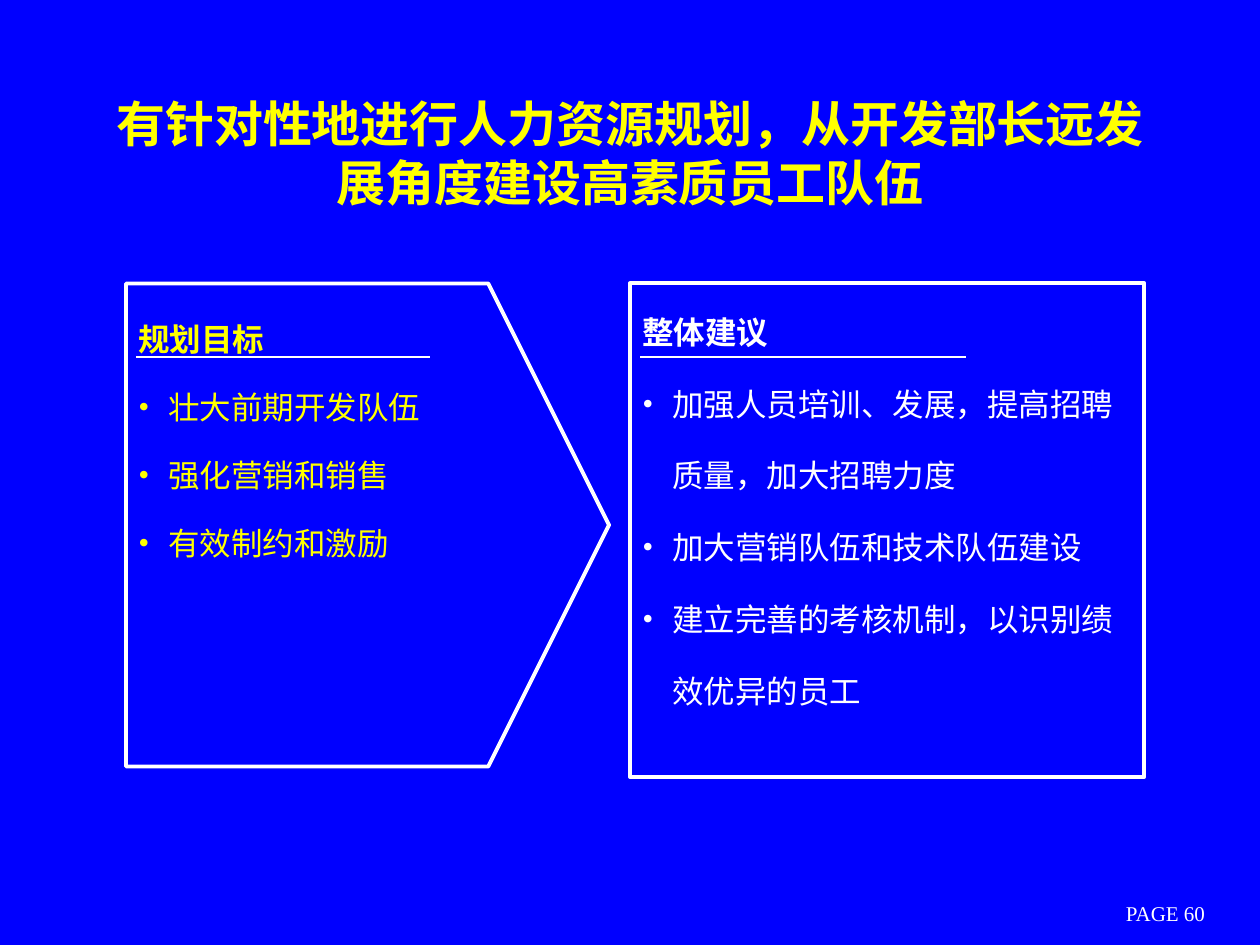
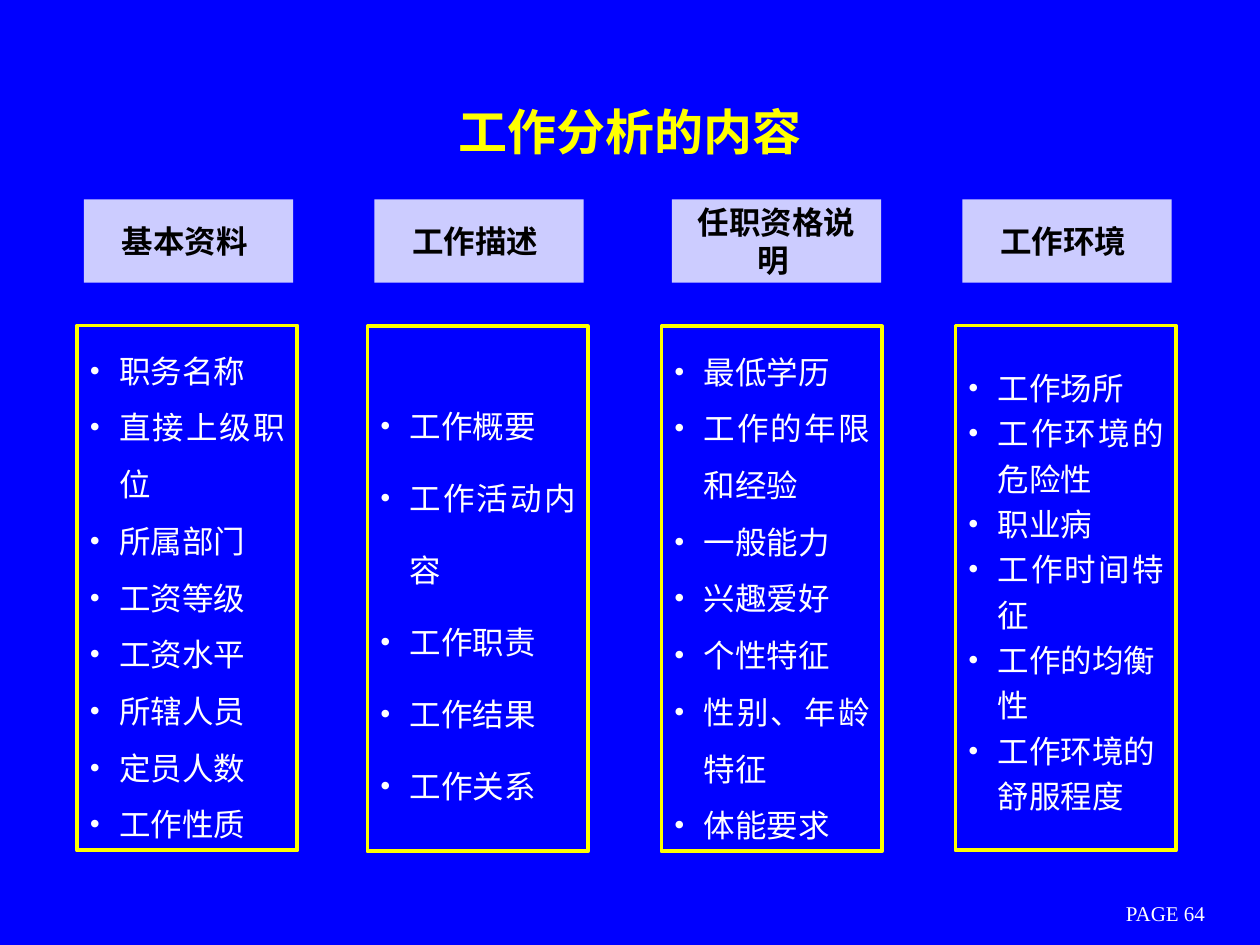
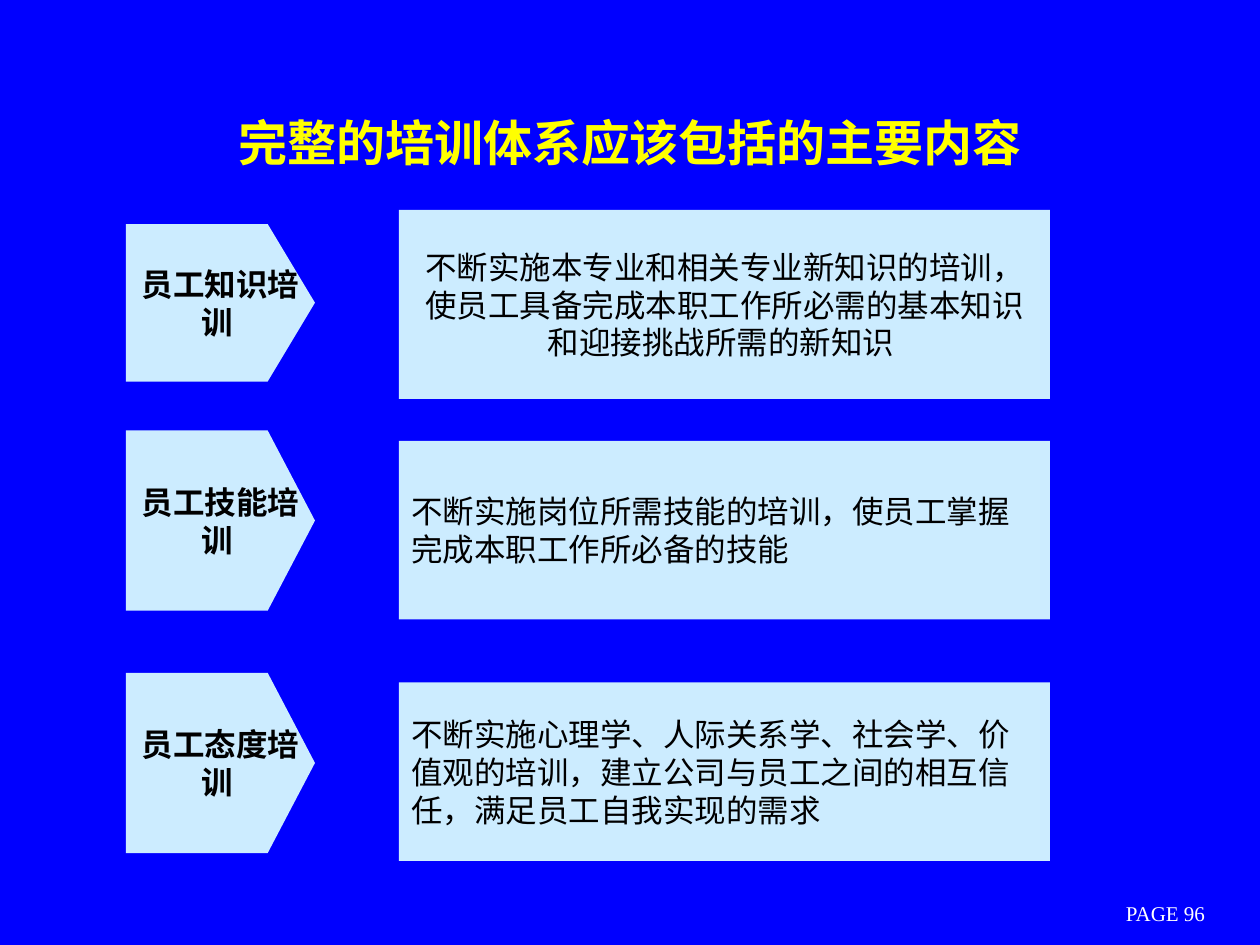
from lxml import etree
from pptx import Presentation
from pptx.dml.color import RGBColor
from pptx.enum.shapes import MSO_CONNECTOR, MSO_SHAPE
from pptx.enum.text import MSO_ANCHOR, MSO_AUTO_SIZE, PP_ALIGN
from pptx.oxml.ns import qn
from pptx.util import Pt

LEFT, CENTER, JUSTIFY = PP_ALIGN.LEFT, PP_ALIGN.CENTER, PP_ALIGN.JUSTIFY
TOP, MIDDLE = MSO_ANCHOR.TOP, MSO_ANCHOR.MIDDLE
NO_AUTOFIT = MSO_AUTO_SIZE.NONE
RECTANGLE = MSO_SHAPE.RECTANGLE
STRAIGHT = MSO_CONNECTOR.STRAIGHT

COLORS = {
    "background": "0000FF",
    "accent": "FFFF00",
    "light": "FFFFFF",
    "dark": "000000",
    "header": "CCCCFF",
    "panel": "CCECFF",
}
LATIN, CJK = "Times New Roman", "Noto Sans CJK SC"
TITLE_ONLY = 5
LINE_HEIGHT = 1.2
BULLET_INDENT = 17
INSET_X, INSET_Y = 7.2, 3.6


def rgb(name):
    return RGBColor.from_string(COLORS[name])


def paragraph(text, color="dark", size=18, bold=False, font=LATIN,
              align=LEFT, spacing=1, bullet=False):
    return {
        "text": text, "color": color, "bullet": bullet,
        "font": {"size": Pt(size), "bold": bold, "name": font},
        "format": {
            "alignment": align,
            "line_spacing": Pt(round(size * LINE_HEIGHT * spacing, 2)),
            "space_before": Pt(0),
            "space_after": Pt(0),
        },
    }


class Deck:
    def __init__(self):
        self.presentation = Presentation()
        self.presentation.slide_width = Pt(720)
        self.presentation.slide_height = Pt(540)
        backdrop = self.presentation.slide_master.background.fill
        backdrop.solid()
        backdrop.fore_color.rgb = rgb("background")
        self.slide = None

    def new_slide(self, heading, heading_top, page):
        layout = self.presentation.slide_layouts[TITLE_ONLY]
        self.slide = self.presentation.slides.add_slide(layout)
        title = self.slide.shapes.title
        box = {"left": 54, "top": heading_top, "width": 612, "height": 90}
        for side, length in box.items():
            setattr(title, side, Pt(length))
        self.set_text(title, [paragraph(heading, "accent", 28, True, CJK, CENTER)])
        footer = self.slide.shapes.add_textbox(Pt(606), Pt(512.5), Pt(120), Pt(18))
        self.set_text(footer, [paragraph(f"PAGE {page}", "light", 12, align=CENTER)])

    def set_text(self, holder, paragraphs, anchor=MIDDLE, bottom=INSET_Y):
        frame = holder.text_frame
        layout = {
            "word_wrap": True, "auto_size": NO_AUTOFIT, "vertical_anchor": anchor,
            "margin_left": Pt(INSET_X), "margin_right": Pt(INSET_X),
            "margin_top": Pt(INSET_Y), "margin_bottom": Pt(bottom),
        }
        for name, value in layout.items():
            setattr(frame, name, value)
        for index, content in enumerate(paragraphs):
            line = frame.add_paragraph() if index else frame.paragraphs[0]
            if content["bullet"]:
                self.add_bullet(line, content["color"])
            for name, value in content["format"].items():
                setattr(line, name, value)
            run = line.add_run()
            run.text = content["text"]
            for name, value in content["font"].items():
                setattr(run.font, name, value)
            run.font.color.rgb = rgb(content["color"])
            east_asian = etree.SubElement(run._r.get_or_add_rPr(), qn("a:ea"))
            east_asian.set("typeface", CJK)

    def add_bullet(self, line, color):
        properties = line._p.get_or_add_pPr()
        properties.set("marL", str(Pt(BULLET_INDENT)))
        properties.set("indent", str(-Pt(BULLET_INDENT)))
        tint = etree.SubElement(properties, qn("a:buClr"))
        etree.SubElement(tint, qn("a:srgbClr")).set("val", COLORS[color])
        etree.SubElement(properties, qn("a:buFont")).set("typeface", LATIN)
        etree.SubElement(properties, qn("a:buChar")).set("char", "•")

    def paint(self, shape, fill, line):
        shape.shadow.inherit = False
        if fill:
            shape.fill.solid()
            shape.fill.fore_color.rgb = rgb(fill)
        else:
            shape.fill.background()
        if line:
            shape.line.color.rgb = rgb(line)
            shape.line.width = Pt(2.25)
        else:
            shape.line.fill.background()

    def box(self, left, top, width, height, paragraphs, fill=None, line=None, **layout):
        shape = self.slide.shapes.add_shape(
            RECTANGLE, Pt(left), Pt(top), Pt(width), Pt(height))
        self.paint(shape, fill, line)
        self.set_text(shape, paragraphs, **layout)

    def arrow_box(self, left, top, width, height, paragraphs, fill=None, line=None, **layout):
        shoulder, tip, bottom = left + width * 0.75, left + width, top + height
        outline = [(shoulder, top), (tip, top + height / 2),
                   (shoulder, bottom), (left, bottom)]
        builder = self.slide.shapes.build_freeform(Pt(left), Pt(top))
        builder.add_line_segments([(Pt(x), Pt(y)) for x, y in outline], close=True)
        shape = builder.convert_to_shape()
        self.paint(shape, fill, line)
        self.set_text(shape, paragraphs, **layout)

    def rule(self, left, right, y):
        underline = self.slide.shapes.add_connector(
            STRAIGHT, Pt(left), Pt(y), Pt(right), Pt(y))
        underline.line.color.rgb = rgb("light")
        underline.line.width = Pt(0.75)
        etree.SubElement(underline._element.spPr, qn("a:effectLst"))


def headed_list(heading, items, color, spacing):
    return [paragraph(heading, color, bold=True, spacing=spacing)] + [
        paragraph(item, color, spacing=spacing, bullet=True) for item in items]


def build_planning(deck):
    deck.new_slide("有针对性地进行人力资源规划，从开发部长远发展角度建设高素质员工队伍", 42, 60)
    goals = ["壮大前期开发队伍", "强化营销和销售", "有效制约和激励"]
    advice = ["加强人员培训、发展，提高招聘质量，加大招聘力度",
              "加大营销队伍和技术队伍建设",
              "建立完善的考核机制，以识别绩效优异的员工"]
    deck.arrow_box(72, 162, 276, 276, headed_list("规划目标", goals, "accent", 1.8),
                   line="light", anchor=TOP)
    deck.box(360, 162, 294, 282, headed_list("整体建议", advice, "light", 1.9),
             line="light", bottom=44.6)
    deck.rule(78, 246, 204)
    deck.rule(366, 552, 204)


def build_job_analysis(deck):
    deck.new_slide("工作分析的内容", 30, 64)
    columns = [
        ("基本资料 ", 48, 44, 186, 1.5, LATIN, 8,
         ["职务名称", "直接上级职位", "所属部门", "工资等级",
          "工资水平", "所辖人员", "定员人数", "工作性质"]),
        ("工作描述 ", 214, 210, 186.5, 1.9, LATIN, 5,
         ["工作概要", "工作活动内容", "工作职责", "工作结果", "工作关系"]),
        ("任职资格说明 ", 384, 378, 186.5, 1.5, LATIN, 7,
         ["最低学历", "工作的年限和经验", "一般能力", "兴趣爱好",
          "个性特征", "性别、年龄特征", "体能要求 "]),
        ("工作环境 ", 550, 546, 186, 1.2, CJK, 4,
         ["工作场所", "工作环境的危险性", "职业病", "工作时间特征",
          "工作的均衡性", "工作环境的舒服程度"]),
    ]
    for heading, header_left, list_left, list_top, spacing, font, justified, items in columns:
        deck.box(header_left, 114, 119.5, 47.5,
                 [paragraph(heading, bold=True, align=CENTER)], fill="header")
        entries = [
            paragraph(item, "light", font=font, spacing=spacing, bullet=True,
                      align=JUSTIFY if index < justified else LEFT)
            for index, item in enumerate(items)]
        deck.box(list_left, list_top, 126, 300, entries, line="accent")


def build_training(deck):
    deck.new_slide("完整的培训体系应该包括的主要内容", 36, 96)
    trainings = [
        ("员工知识培训 ", 128, 90, 120, 108, CENTER,
         "不断实施本专业和相关专业新知识的培训，使员工具备完成本职工作所必需的基本知识和迎接挑战所需的新知识 "),
        ("员工技能培训 ", 246, 103, 252, 102, LEFT,
         "不断实施岗位所需技能的培训，使员工掌握完成本职工作所必备的技能"),
        ("员工态度培训 ", 384.5, 103, 390, 102, LEFT,
         "不断实施心理学、人际关系学、社会学、价值观的培训，建立公司与员工之间的相互信任，满足员工自我实现的需求"),
    ]
    for name, arrow_top, arrow_height, top, height, align, description in trainings:
        deck.arrow_box(72, arrow_top, 108, arrow_height,
                       [paragraph(name, bold=True, align=CENTER)], fill="panel")
        deck.box(228, top, 372, height, [paragraph(description, align=align)], fill="panel")


def main():
    deck = Deck()
    build_planning(deck)
    build_job_analysis(deck)
    build_training(deck)
    deck.presentation.save("out.pptx")


if __name__ == "__main__":
    main()
